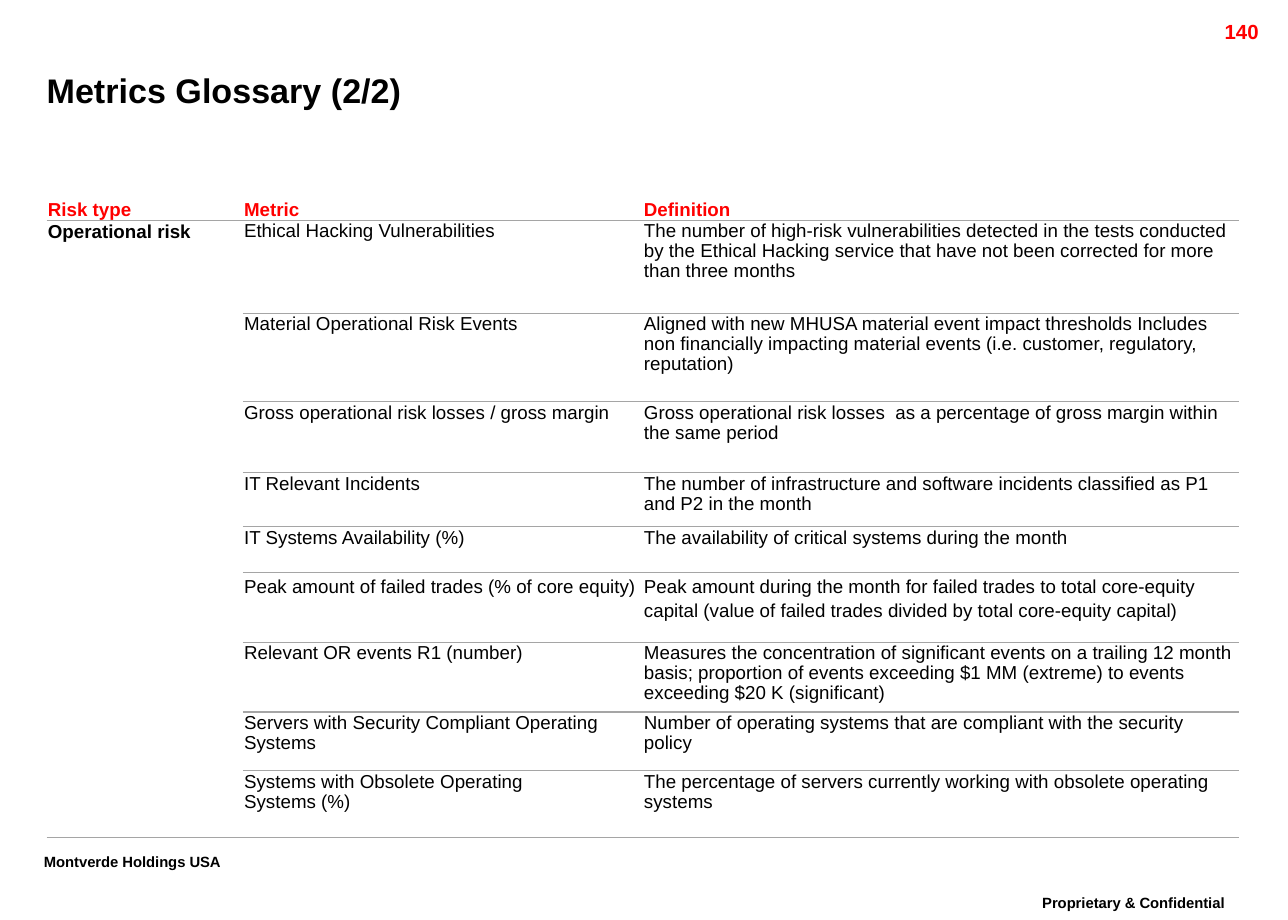
from lxml.etree import SubElement
from pptx import Presentation
from pptx.dml.color import RGBColor
from pptx.enum.text import MSO_ANCHOR as Anchor, PP_ALIGN as Align
from pptx.oxml import parse_xml
from pptx.oxml.ns import nsdecls, qn
from pptx.util import Inches, Pt

TITLE = "Metrics Glossary (2/2)"
HEADINGS = ("Risk type", "Metric", "Definition")
RISK_TYPE = "Operational risk"
# metric, definition, row height, line spacing
METRICS = [
    ("Ethical Hacking Vulnerabilities",
     "The number of high-risk vulnerabilities detected in the tests conducted by the "
     "Ethical Hacking service that have not been corrected for more than three months",
     0.76, 0.96),
    ("Material Operational Risk Events",
     "Aligned with new MHUSA material event impact thresholds Includes non financially "
     "impacting material events (i.e. customer, regulatory, reputation)", 0.72, 0.96),
    ("Gross operational risk losses / gross margin",
     "Gross operational risk losses  as a percentage of gross margin within the same period",
     0.58, 0.96),
    ("IT Relevant Incidents",
     "The number of infrastructure and software incidents classified as P1 and P2 in the month",
     0.44, 0.96),
    ("IT Systems Availability (%)",
     "The availability of critical systems during the month", 0.37, 0.96),
    ("Peak amount of failed trades (% of core equity)",
     "Peak amount during the month for failed trades to total core-equity capital "
     "(value of failed trades divided by total core-equity capital)", 0.57, 1.15),
    ("Relevant OR events R1 (number)",
     "Measures the concentration of significant events on a trailing 12 month basis; "
     "proportion of events exceeding $1 MM (extreme) to events exceeding $20 K (significant)",
     0.57, 0.96),
    ("Servers with Security Compliant Operating Systems",
     "Number of operating systems that are compliant with the security policy", 0.48, 0.96),
    ("Systems with Obsolete Operating\vSystems (%)",
     "The percentage of servers currently working with obsolete operating systems", 0.54, 0.96),
]
COLUMN_WIDTHS = (1.6, 3.26, 4.86)
HEADING_HEIGHT = 0.17
TABLE_LEFT, TABLE_TOP = 0.38, 1.61
# text, box, alignment, size, colour, baseline shift
MARGIN_TEXTS = [
    ("Proprietary & Confidential", (8.15, 7.25, 2.18, 0.32), Align.CENTER, 15, "000000", 30000),
    ("Montverde Holdings USA", (0.26, 6.91, 1.91, 0.32), Align.LEFT, 15, "000000", 30000),
    ("140", (9.36, 0.11, 1, 0.24), Align.RIGHT, 12, "FF0000", 0),
]
BLACK, RED, GREY = "000000", "FF0000", "A5A5A5"
NO_GRID_STYLE = "{2D5ABB26-0587-4C30-8999-92F81FD0307C}"


def style(paragraph, size, colour, bold, align=Align.LEFT, spacing=None):
    paragraph.alignment = align
    paragraph.line_spacing = spacing
    font = paragraph.font
    font.name, font.size, font.bold = "Arial", Pt(size), bold
    font.color.rgb = RGBColor.from_string(colour)


def rule_below(cell):
    line = parse_xml(f'<a:lnB {nsdecls("a")} w="{Pt(0.75)}"><a:solidFill>'
                     f'<a:srgbClr val="{GREY}"/></a:solidFill></a:lnB>')
    cell._tc.get_or_add_tcPr().insert(0, line)


def fill_cell(cell, text, colour=BLACK, bold=False, spacing=0.96, anchor=Anchor.TOP):
    cell.text_frame.text = text
    cell.margin_left = cell.margin_right = cell.margin_top = Inches(0.01)
    cell.margin_bottom = 0
    cell.vertical_anchor = anchor
    cell.fill.background()
    style(cell.text_frame.paragraphs[0], 11, colour, bold, spacing=spacing)


def add_glossary(slide):
    heights = [HEADING_HEIGHT] + [height for _, _, height, _ in METRICS]
    frame = slide.shapes.add_table(
        len(heights), len(COLUMN_WIDTHS), Inches(TABLE_LEFT), Inches(TABLE_TOP),
        Inches(sum(COLUMN_WIDTHS)), Inches(sum(heights)))
    glossary = frame.table
    glossary.first_row = glossary.horz_banding = False
    properties = glossary._tbl.tblPr
    style_id = properties.find(qn("a:tableStyleId"))
    if style_id is None:
        style_id = SubElement(properties, qn("a:tableStyleId"))
    style_id.text = NO_GRID_STYLE
    for column, width in zip(glossary.columns, COLUMN_WIDTHS):
        column.width = Inches(width)
    for row, height in zip(glossary.rows, heights):
        row.height = Inches(height)

    for col, heading in enumerate(HEADINGS):
        fill_cell(glossary.cell(0, col), heading, RED, True, anchor=Anchor.BOTTOM)
        rule_below(glossary.cell(0, col))
    for row, (metric, definition, _, spacing) in enumerate(METRICS, start=1):
        for col, text in enumerate((metric, definition), start=1):
            fill_cell(glossary.cell(row, col), text, spacing=spacing)
            rule_below(glossary.cell(row, col))
    risk_type, last = glossary.cell(1, 0), glossary.cell(len(METRICS), 0)
    risk_type.merge(last)
    fill_cell(risk_type, RISK_TYPE, bold=True, spacing=1.0)
    for cell in (risk_type, last):
        rule_below(cell)


def main():
    deck = Presentation()
    deck.slide_width, deck.slide_height = Inches(10.5), Inches(7.5)
    slide = deck.slides.add_slide(deck.slide_layouts[5])

    for text, box, align, size, colour, baseline in MARGIN_TEXTS:
        frame = slide.shapes.add_textbox(*map(Inches, box)).text_frame
        frame.word_wrap = True
        frame.text = text
        line = frame.paragraphs[0]
        style(line, size, colour, True, align, 0.86 if baseline else None)
        if baseline:
            line.runs[0]._r.get_or_add_rPr().set("baseline", str(baseline))

    title = slide.shapes.title
    title.left, title.top, title.width, title.height = map(Inches, (0.38, 0.49, 9.48, 0.48))
    heading = title.text_frame
    heading.text = TITLE
    heading.vertical_anchor = Anchor.MIDDLE
    heading.margin_left = heading.margin_right = heading.margin_top = heading.margin_bottom = 0
    style(heading.paragraphs[0], 20, BLACK, True)

    add_glossary(slide)
    deck.save("out.pptx")


if __name__ == "__main__":
    main()
